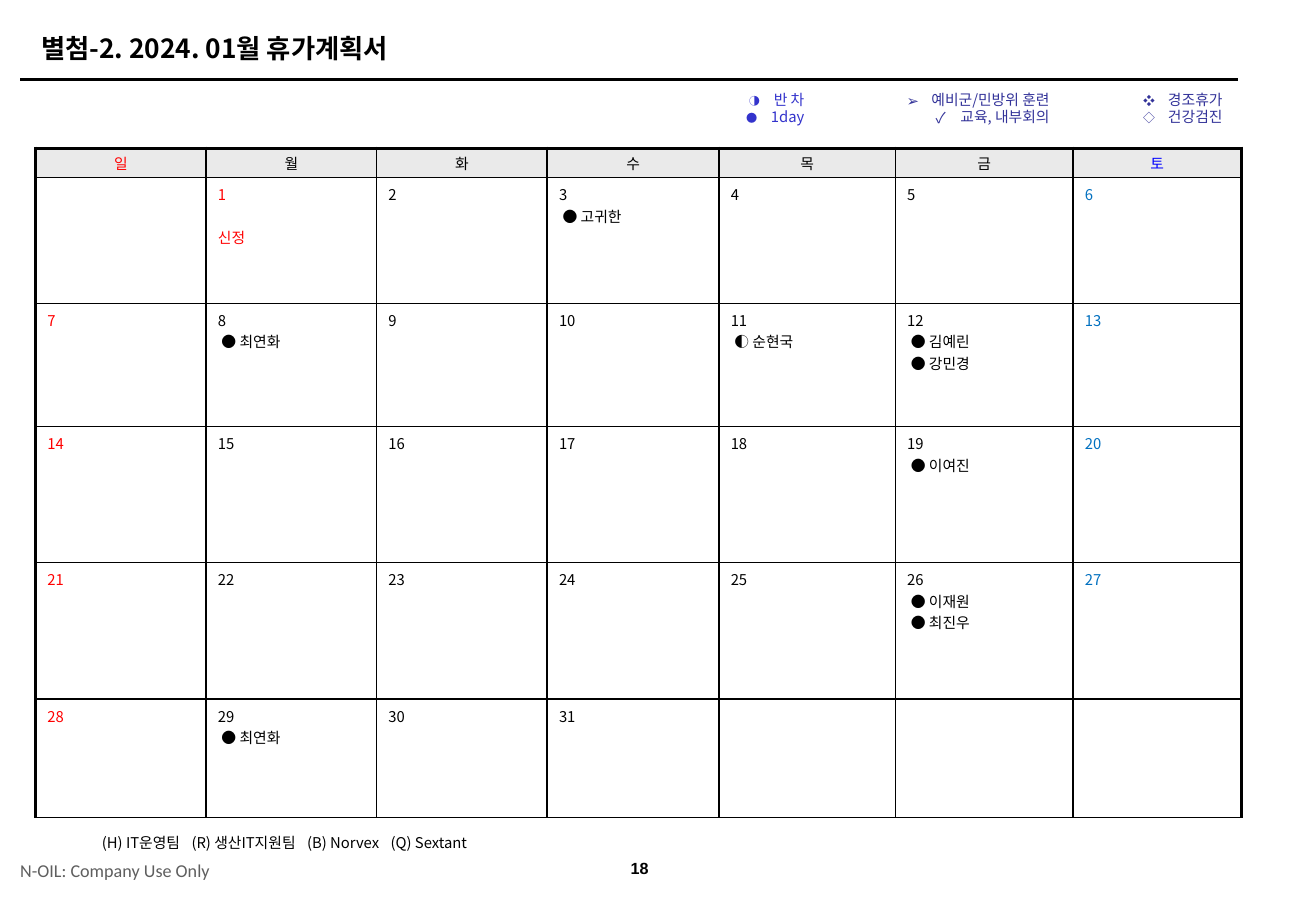
from dataclasses import dataclass

import lxml.etree
import pptx
import pptx.dml.color
import pptx.enum.shapes
import pptx.enum.text
import pptx.oxml.ns
import pptx.util

Inches = pptx.util.Inches
Pt = pptx.util.Pt
RGBColor = pptx.dml.color.RGBColor
Align = pptx.enum.text.PP_ALIGN
Anchor = pptx.enum.text.MSO_ANCHOR
qn = pptx.oxml.ns.qn

BLACK = RGBColor(0x00, 0x00, 0x00)
RED = RGBColor(0xFF, 0x00, 0x00)
BLUE = RGBColor(0x00, 0x00, 0xFF)
SATURDAY = RGBColor(0x00, 0x70, 0xC0)
INDIGO = RGBColor(0x33, 0x33, 0xCC)
NAVY = RGBColor(0x33, 0x33, 0x99)
GRAY = RGBColor(0x5F, 0x5F, 0x5F)
HEADER_FILL = RGBColor(0xEA, 0xEA, 0xEA)
KOREAN = "Noto Sans CJK KR"


@dataclass
class LegendItem:
    mark: str
    label: str
    mark_percent: int = 100


@dataclass
class Legend:
    placeholder: int
    left: float
    width: float
    right_inset: float
    color: RGBColor
    items: list[LegendItem]


LEGENDS = [
    Legend(1, 5.89, 1.0, 0.1, INDIGO,
           [LegendItem("◑", "반 차", 75), LegendItem("●", "1day", 75)]),
    Legend(2, 7.41, 1.58, 0.13, NAVY,
           [LegendItem("➢", "예비군/민방위 훈련"), LegendItem("✓", "교육, 내부회의")]),
    Legend(3, 8.59, 1.83, 0.1, NAVY,
           [LegendItem("❖", "경조휴가", 80), LegendItem("◇", "건강검진", 80)]),
]
WEEKDAYS = "일월화수목금토"
COLUMN_WIDTHS = [1.44, 1.44, 1.44, 1.45, 1.49, 1.5, 1.42]
ROW_HEIGHTS = [0.25, 1.06, 1.04, 1.15, 1.15, 1]
LAST_DAY = 31
HOLIDAYS = {1: "신정"}
LEAVES = {
    3: ["● 고귀한"],
    8: ["● 최연화"],
    11: ["◐ 순현국"],
    12: ["● 김예린", "● 강민경"],
    19: ["● 이여진"],
    26: ["● 이재원", "● 최진우"],
    29: ["● 최연화"],
}
TEAMS = ["(H) IT운영팀", "(R) 생산IT지원팀", "(B) Norvex", "(Q) Sextant"]
TEAM_GAP = Pt(5)


def add_child(parent, tag: str, **attributes: str):
    child = lxml.etree.SubElement(parent, qn(tag))
    for name, value in attributes.items():
        child.set(name, value)
    return child


def add_span(para, text: str, color: RGBColor, size: float = 9,
             font: str = KOREAN, bold: bool = False):
    span = para.add_run()
    span.text = text
    span.font.name = font
    span.font.size = Pt(size)
    span.font.bold = bold
    span.font.color.rgb = color
    add_child(span.font._element, "a:ea", typeface=font)
    return span


def set_frame(box, place: tuple, anchor=Anchor.TOP,
              insets: tuple = (0.1, 0.05, 0.1, 0.05)):
    box.left, box.top, box.width, box.height = (Inches(v) for v in place)
    frame = box.text_frame
    frame.word_wrap = True
    frame.auto_size = pptx.enum.text.MSO_AUTO_SIZE.NONE
    frame.vertical_anchor = anchor
    (frame.margin_left, frame.margin_top,
     frame.margin_right, frame.margin_bottom) = (Inches(v) for v in insets)
    return frame


def next_para(frame, index: int):
    return frame.paragraphs[0] if index == 0 else frame.add_paragraph()


def set_indent(para, left: float, first: float):
    properties = para._p.get_or_add_pPr()
    properties.set("marL", str(Inches(left)))
    properties.set("indent", str(Inches(first)))
    return properties


def add_legend(page, legend: Legend) -> None:
    frame = set_frame(page.placeholders[legend.placeholder],
                      (legend.left, 0.73, legend.width, 0.4),
                      insets=(0.1, 0.05, legend.right_inset, 0.05))
    for index, item in enumerate(legend.items):
        para = next_para(frame, index)
        properties = set_indent(para, 0.21, -0.21)
        color = add_child(properties, "a:buClr")
        add_child(color, "a:srgbClr", val=str(legend.color))
        add_child(properties, "a:buSzPct", val=str(item.mark_percent * 1000))
        add_child(properties, "a:buFont", typeface=KOREAN)
        add_child(properties, "a:buChar", char=item.mark)
        para.alignment = Align.RIGHT
        para.line_spacing = 0.95
        para.space_before = Pt(0)
        add_span(para, item.label, legend.color)


def set_borders(cell, row: int, column: int) -> None:
    outer = {"a:lnL": column == 0, "a:lnR": column == len(WEEKDAYS) - 1,
             "a:lnT": row == 0, "a:lnB": False}
    properties = cell._tc.get_or_add_tcPr()
    for position, (tag, thick) in enumerate(outer.items()):
        line = lxml.etree.Element(qn(tag))
        line.set("w", str(Pt(2 if thick else 1)))
        fill = add_child(line, "a:solidFill")
        add_child(fill, "a:srgbClr", val=str(BLACK))
        properties.insert(position, line)


def fill_weekday(cell, weekday: str, column: int) -> None:
    cell.fill.solid()
    cell.fill.fore_color.rgb = HEADER_FILL
    cell.vertical_anchor = Anchor.MIDDLE
    cell.margin_top = cell.margin_bottom = Inches(0.03)
    para = cell.text_frame.paragraphs[0]
    para.alignment = Align.CENTER
    add_span(para, weekday, {0: RED, 6: BLUE}.get(column, BLACK))


def fill_day(cell, day: int, column: int) -> None:
    color = {0: RED, 6: SATURDAY}.get(column, BLACK)
    if day in HOLIDAYS:
        color = RED
    frame = cell.text_frame
    add_span(frame.paragraphs[0], str(day), color)
    if day in HOLIDAYS:
        para = frame.add_paragraph()
        para.space_before = Pt(13)
        add_span(para, HOLIDAYS[day], color)
    for leave in LEAVES.get(day, []):
        para = frame.add_paragraph()
        set_indent(para, 0.03, 0)
        add_span(para, leave, color)


def add_calendar(page) -> None:
    table = page.shapes.add_table(
        len(ROW_HEIGHTS), len(COLUMN_WIDTHS), Inches(0.3), Inches(1.25),
        Inches(sum(COLUMN_WIDTHS)), Inches(sum(ROW_HEIGHTS))).table
    table.first_row = table.horz_banding = False
    for column, width in enumerate(COLUMN_WIDTHS):
        table.columns[column].width = Inches(width)
    for row, height in enumerate(ROW_HEIGHTS):
        table.rows[row].height = Inches(height)
        for column, weekday in enumerate(WEEKDAYS):
            cell = table.cell(row, column)
            if row == 0:
                fill_weekday(cell, weekday, column)
            else:
                cell.fill.background()
                # The month starts on a Monday, the second column
                day = (row - 1) * 7 + column
                if 1 <= day <= LAST_DAY:
                    fill_day(cell, day, column)
            set_borders(cell, row, column)


def add_teams(page) -> None:
    frame = set_frame(page.placeholders[4], (0.79, 7, 4.2, 0.24),
                      Anchor.MIDDLE, (0.07, 0, 0, 0))
    para = frame.paragraphs[0]
    add_child(set_indent(para, 0, 0), "a:buNone")
    para.alignment = Align.LEFT
    para.line_spacing = 0.95
    para.space_before = Pt(0)
    for index, team in enumerate(TEAMS):
        if index:
            # Letter spacing widens the single space between teams
            gap = add_span(para, " ", BLACK)
            gap.font._element.set("spc", str(int(TEAM_GAP.pt * 100)))
        add_span(para, team, BLACK)


def main() -> None:
    deck = pptx.Presentation()
    deck.slide_width, deck.slide_height = Inches(11.11), Inches(7.57)
    page = deck.slides.add_slide(deck.slide_layouts.get_by_name("Comparison"))

    # Title and rule
    frame = set_frame(page.shapes.title, (0.25, 0.22, 9.9, 0.37), Anchor.MIDDLE)
    frame.paragraphs[0].alignment = Align.LEFT
    add_span(frame.paragraphs[0], "별첨-2. 2024. 01월 휴가계획서", BLACK, 16, bold=True)
    rule = page.shapes.add_connector(
        pptx.enum.shapes.MSO_CONNECTOR.STRAIGHT,
        Inches(0.17), Inches(0.67), Inches(10.45), Inches(0.67))
    rule.line.color.rgb = BLACK
    rule.line.width = Pt(1.5)
    add_child(rule._element.spPr, "a:effectLst")

    # Legends, calendar and teams
    for legend in LEGENDS:
        add_legend(page, legend)
    add_calendar(page)
    add_teams(page)

    # Footer
    number = page.shapes.add_textbox(0, 0, 0, 0)
    frame = set_frame(number, (5.13, 7.17, 0.54, 0.31), Anchor.MIDDLE)
    frame.paragraphs[0].alignment = Align.CENTER
    add_span(frame.paragraphs[0], "18", BLACK, 9.8, "Arial", True)
    notice = page.shapes.add_textbox(0, 0, 0, 0)
    frame = set_frame(notice, (0.17, 7.19, 1.75, 0.31), Anchor.MIDDLE, (0, 0, 0, 0))
    add_span(frame.paragraphs[0], "N-OIL: Company Use Only", GRAY, 11, "Calibri")

    deck.save("out.pptx")


if __name__ == "__main__":
    main()
